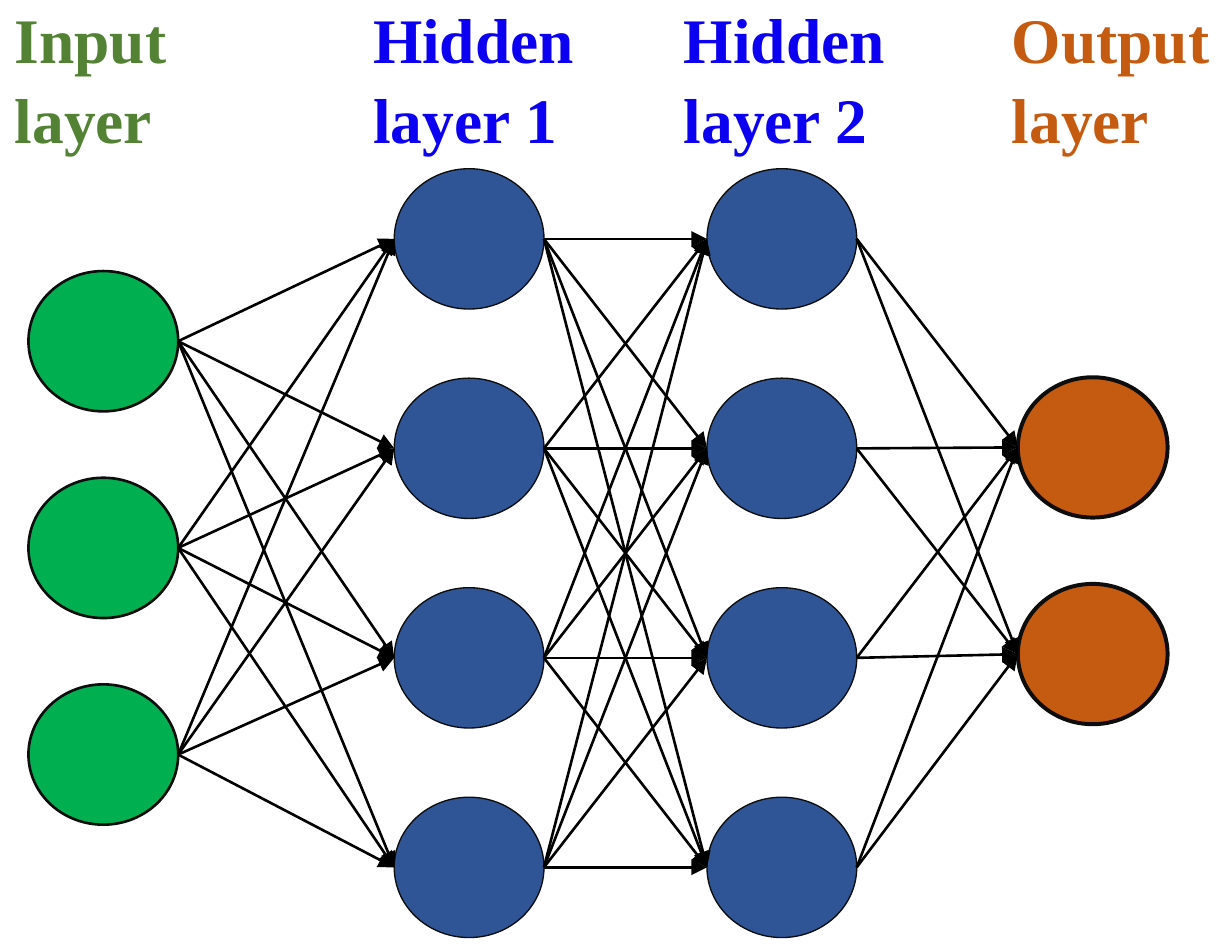
"""Build a slide showing a neural network with two hidden layers."""
import itertools

import pptx
import pptx.chart.data
import pptx.dml.color
import pptx.enum.shapes
import pptx.enum.text
import pptx.oxml
import pptx.util
from pptx.util import Inches

COLORS = {
    "input": "00B050", "hidden": "2F5597", "output": "C55A11",
    "outline": "0D0D0D", "arrow": "000000",
    "input title": "548235", "hidden title": "0B00F0", "output title": "C55A11",
}
LAYERS = [
    {"title": "Input layer", "kind": "input", "left": 0.15, "top": 1.43,
     "count": 3, "step": 1.09, "line": 1, "title_left": -0.02, "title_width": 1.14},
    {"title": "Hidden layer 1", "kind": "hidden", "left": 2.08, "top": 0.89,
     "count": 4, "step": 1.105, "line": 0.5, "title_left": 1.87, "title_width": 1.26},
    {"title": "Hidden layer 2", "kind": "hidden", "left": 3.73, "top": 0.89,
     "count": 4, "step": 1.105, "line": 0.5, "title_left": 3.51, "title_width": 1.26},
    {"title": "Output layer", "kind": "output", "left": 5.37, "top": 1.99,
     "count": 2, "step": 1.09, "line": 1.5, "title_left": 5.24, "title_width": 1.26},
]
NODE_WIDTH, NODE_HEIGHT = 0.79, 0.74
TITLE_TOP, TITLE_HEIGHT = -0.07, 0.91
TITLE_FRAME = {
    "word_wrap": True,
    "auto_size": pptx.enum.text.MSO_AUTO_SIZE.SHAPE_TO_FIT_TEXT,
    "margin_right": Inches(0.05),
}
TITLE_FONT = {"name": "Times New Roman", "size": pptx.util.Pt(24.1), "bold": True}


def color(name):
    return pptx.dml.color.RGBColor.from_string(COLORS[name])


def apply(target, values):
    for name, value in values.items():
        setattr(target, name, value)


def node_tops(layer):
    return [layer["top"] + index * layer["step"] for index in range(layer["count"])]


def add_node(page, layer, top):
    node = page.shapes.add_shape(
        pptx.enum.shapes.MSO_SHAPE.OVAL, Inches(layer["left"]), Inches(top),
        Inches(NODE_WIDTH), Inches(NODE_HEIGHT))
    node.shadow.inherit = False
    node.fill.solid()
    node.fill.fore_color.rgb = color(layer["kind"])
    node.line.color.rgb = color("outline")
    node.line.width = pptx.util.Pt(layer["line"])


def add_arrow(page, source, target, start_top, end_top):
    arrow = page.shapes.add_connector(
        pptx.enum.shapes.MSO_CONNECTOR.STRAIGHT,
        Inches(source["left"] + NODE_WIDTH), Inches(start_top + NODE_HEIGHT / 2),
        Inches(target["left"]), Inches(end_top + NODE_HEIGHT / 2))
    arrow.line.color.rgb = color("arrow")
    arrow.line.width = pptx.util.Pt(1)
    namespace = pptx.oxml.ns.nsdecls("a")
    line = arrow.line._get_or_add_ln()
    line.append(pptx.oxml.parse_xml(f'<a:tailEnd {namespace} type="triangle"/>'))
    line.getparent().append(pptx.oxml.parse_xml(f"<a:effectLst {namespace}/>"))


def add_title(page, layer):
    box = page.shapes.add_textbox(
        Inches(layer["title_left"]), Inches(TITLE_TOP),
        Inches(layer["title_width"]), Inches(TITLE_HEIGHT))
    apply(box.text_frame, TITLE_FRAME)
    para = box.text_frame.paragraphs[0]
    para.line_spacing = 1.05
    span = para.add_run()
    span.text = layer["title"]
    apply(span.font, TITLE_FONT)
    span.font.color.rgb = color(layer["kind"] + " title")


def main():
    deck = pptx.Presentation()
    deck.slide_width, deck.slide_height = Inches(6.5), Inches(5)
    page = deck.slides.add_slide(deck.slide_layouts[6])
    for layer in LAYERS:
        for top in node_tops(layer):
            add_node(page, layer, top)
    for source, target in zip(LAYERS, LAYERS[1:]):
        for start_top, end_top in itertools.product(node_tops(source), node_tops(target)):
            add_arrow(page, source, target, start_top, end_top)
    for layer in LAYERS:
        add_title(page, layer)
    deck.save("out.pptx")


if __name__ == "__main__":
    main()
